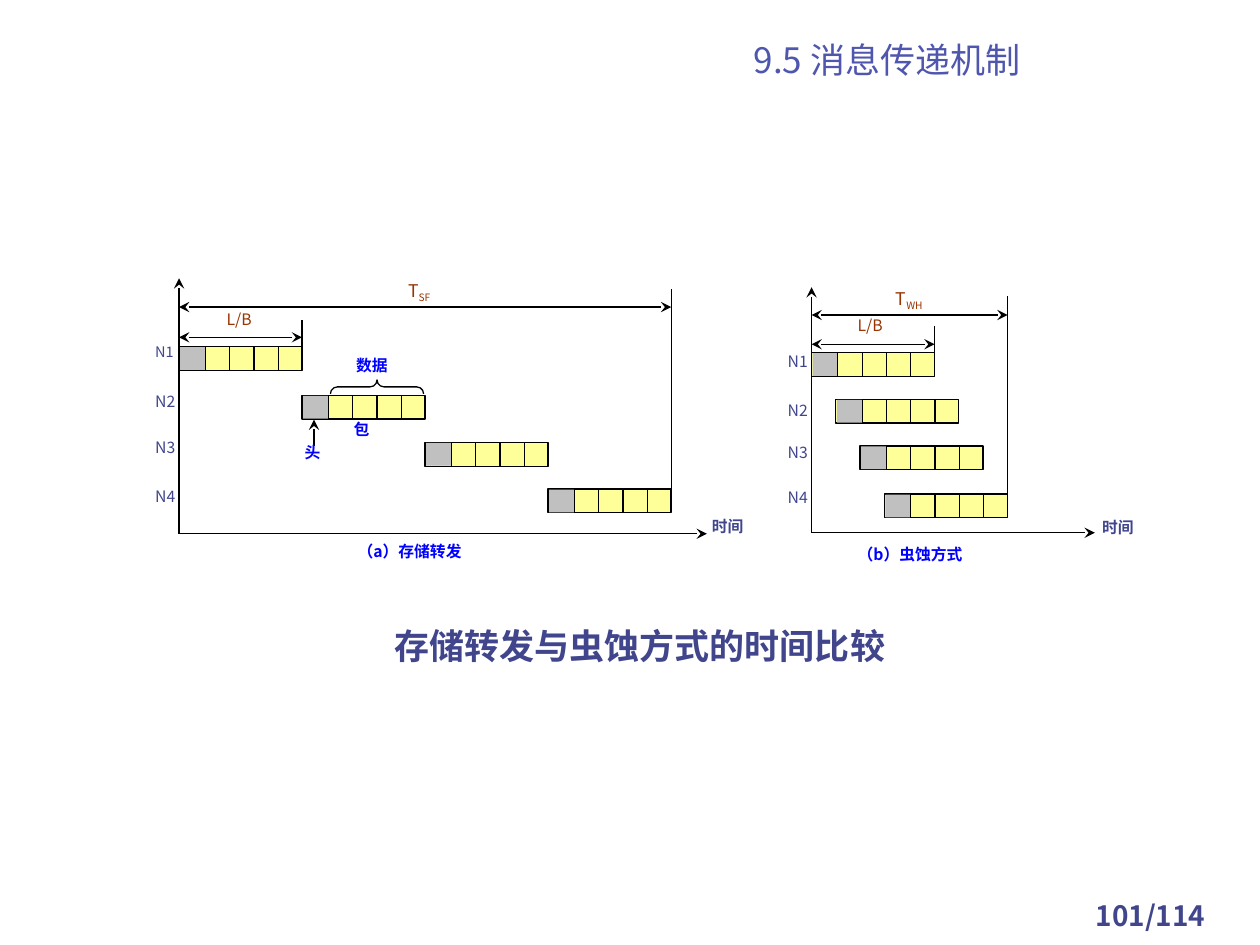
from lxml.etree import SubElement
from pptx import Presentation
from pptx.dml.color import RGBColor
from pptx.enum.shapes import MSO_CONNECTOR, MSO_SHAPE as SHAPE
from pptx.enum.text import MSO_ANCHOR as ANCHOR, PP_ALIGN as ALIGN
from pptx.oxml.ns import qn
from pptx.util import Cm, Pt

BLACK = RGBColor(0x00, 0x00, 0x00)
YELLOW = RGBColor(0xFF, 0xFF, 0x99)
GRAY = RGBColor(0xC0, 0xC0, 0xC0)
NAVY = RGBColor(0x40, 0x45, 0x8C)
INDIGO = RGBColor(0x4F, 0x56, 0xAD)
BLUE = RGBColor(0x00, 0x00, 0xFF)
BROWN = RGBColor(0x99, 0x33, 0x00)

SANS, SERIF, LATO = "Noto Sans CJK SC", "Times New Roman", "Lato"

# Packet measures in cm: a header cell and four data cells
PACKET_W, PACKET_H = 2.48, 0.48
HEADER_W, CELL_W = 0.53, 0.49


def add_run(p, text, size, color, font, bold=False, baseline=None):
    r = p.add_run()
    r.text = text
    f = r.font
    f.size, f.name, f.bold = Pt(size), font, bold
    f.color.rgb = color
    rpr = r._r.get_or_add_rPr()
    ea = SubElement(rpr, qn("a:ea"), typeface=SANS)
    rpr.find(qn("a:latin")).addnext(ea)
    if baseline:
        rpr.set("baseline", str(baseline))


def add_text(s, text, x, y, w, h, size=9, color=NAVY, font=SANS, bold=False,
             align=ALIGN.JUSTIFY, anchor=ANCHOR.TOP, sub="", rest="", rest_font=SERIF):
    """Text box; sub is a subscript, rest continues the line in rest_font."""
    tf = s.shapes.add_textbox(Cm(x), Cm(y), Cm(w), Cm(h)).text_frame
    tf.word_wrap = True
    tf.vertical_anchor = anchor
    p = tf.paragraphs[0]
    p.alignment = align
    add_run(p, text, size, color, font, bold)
    if sub:
        add_run(p, sub, size, color, font, bold, baseline=-25000)
    if rest:
        add_run(p, rest, size, color, rest_font, bold)


def add_line(s, x1, y1, x2, y2, head=False, tail=False):
    c = s.shapes.add_connector(MSO_CONNECTOR.STRAIGHT, Cm(x1), Cm(y1), Cm(x2), Cm(y2))
    c.line.color.rgb = BLACK
    c.line.width = Pt(0.75)
    ln = c.line._get_or_add_ln()
    for wanted, tag in ((head, "a:headEnd"), (tail, "a:tailEnd")):
        if wanted:
            SubElement(ln, qn(tag), type="stealth")
    SubElement(c._element.spPr, qn("a:effectLst"))


def add_preset(s, kind, x, y, w, h, fill=None, outline=True):
    sp = s.shapes.add_shape(kind, Cm(x), Cm(y), Cm(w), Cm(h))
    sp.shadow.inherit = False
    if fill is None:
        sp.fill.background()
    else:
        sp.fill.solid()
        sp.fill.fore_color.rgb = fill
    if outline:
        sp.line.color.rgb = BLACK
        sp.line.width = Pt(0.75)
    else:
        sp.line.fill.background()
    return sp


def add_packet(s, x, y):
    add_preset(s, SHAPE.RECTANGLE, x, y, PACKET_W, PACKET_H, YELLOW)
    add_preset(s, SHAPE.RECTANGLE, x + 0.02, y + 0.01, HEADER_W - 0.02, PACKET_H - 0.02,
               GRAY, outline=False)
    for i in range(4):
        cx = x + HEADER_W + i * CELL_W
        add_line(s, cx, y, cx, y + PACKET_H)


def add_diagram(s, x, step, rows, labels, axis_y, axis_top, axis_end, end_top,
                total_y, part_y, name, total_x, part_text, time_at, first_size=9):
    """Timing chart: each node's packet starts one step after the one above."""
    end = x + 3 * step + PACKET_W
    add_line(s, end, rows[-1], end, end_top)
    for i, y in enumerate(rows):
        add_packet(s, x + i * step, y)

    # Axes and node names
    add_line(s, x, axis_y, x, axis_top, tail=True)
    add_line(s, x, axis_y, axis_end, axis_y, tail=True)
    for i, y in enumerate(labels):
        add_text(s, f"N{i + 1}", x - 0.73, y, 0.91, 0.79, size=9 if i else first_size)
    add_text(s, "时间", *time_at, 1.32, 0.81, font=SERIF, bold=True)

    # Total and single-packet durations
    add_line(s, x, total_y, end, total_y, head=True, tail=True)
    add_text(s, "T", total_x, total_y - 0.67, 1.17, 0.84, size=10, color=BROWN, sub=name)
    part_end = x + PACKET_W
    add_line(s, x, part_y, part_end, part_y, head=True, tail=True)
    add_line(s, part_end, rows[0], part_end, rows[0] - 0.54)
    add_text(s, "L/B", *part_text, 1.42, 0.84, color=BROWN)


def add_packet_notes(s):
    """Names of the header and the data part of the second packet."""
    brace = add_preset(s, SHAPE.LEFT_BRACE, 7.46, 6.86, 0.28, 1.88)
    brace.rotation = 90
    brace.adjustments[0] = 0.5
    add_line(s, 6.33, 8.99, 6.33, 8.46, tail=True)
    for text, x, y, w in (("数据", 6.93, 7.04, 1.32), ("包", 6.88, 8.33, 1.14),
                          ("头", 5.89, 8.81, 1.19)):
        add_text(s, text, x, y, w, 0.81, color=BLUE, font=SERIF, bold=True)


def main():
    prs = Presentation()
    prs.slide_width, prs.slide_height = Cm(25.4), Cm(19.05)
    s = prs.slides.add_slide(prs.slide_layouts[5])

    # Title
    title = s.shapes.title
    title.left, title.top, title.width, title.height = Cm(10.8), Cm(0.69), Cm(14.17), Cm(1.07)
    tf = title.text_frame
    tf.vertical_anchor = ANCHOR.BOTTOM
    p = tf.paragraphs[0]
    p.alignment = ALIGN.CENTER
    add_run(p, "9.5 消息传递机制", 20, INDIGO, SANS)

    # (a) Store and forward: a node waits for the whole packet
    add_diagram(s, 3.61, PACKET_W, rows=(6.99, 7.97, 8.92, 9.86),
                labels=(6.78, 7.77, 8.71, 9.68), axis_y=10.76, axis_top=5.61,
                axis_end=14.25, end_top=5.82, total_y=6.19, part_y=6.8, name="SF",
                total_x=7.98, part_text=(4.32, 6.12), time_at=(14.1, 10.29),
                first_size=8.3)
    add_packet_notes(s)
    add_text(s, "（a）存储转发", 6.96, 10.8, 3.38, 0.86, color=BLUE, bold=True)

    # (b) Wormhole: a node waits for the header only
    add_diagram(s, 16.36, CELL_W, rows=(7.11, 8.05, 8.99, 9.96),
                labels=(6.96, 7.95, 8.81, 9.7), axis_y=10.74, axis_top=5.79,
                axis_end=22.07, end_top=5.97, total_y=6.35, part_y=6.94, name="WH",
                total_x=17.81, part_text=(17.04, 6.25), time_at=(21.97, 10.31))
    add_text(s, "（b）", 17.04, 10.85, 3.38, 0.86, color=BLUE, bold=True, rest="虫蚀方式")

    # Caption and page number
    add_text(s, "存储转发与虫蚀方式的时间比较", 7.7, 12.32, 11, 1.37, size=20, font=LATO,
             bold=True, align=ALIGN.LEFT, anchor=ANCHOR.MIDDLE)
    add_text(s, "101/114", 21.39, 17.98, 3.61, 0.84, size=16, bold=True, align=ALIGN.CENTER)

    prs.save("out.pptx")


if __name__ == "__main__":
    main()
